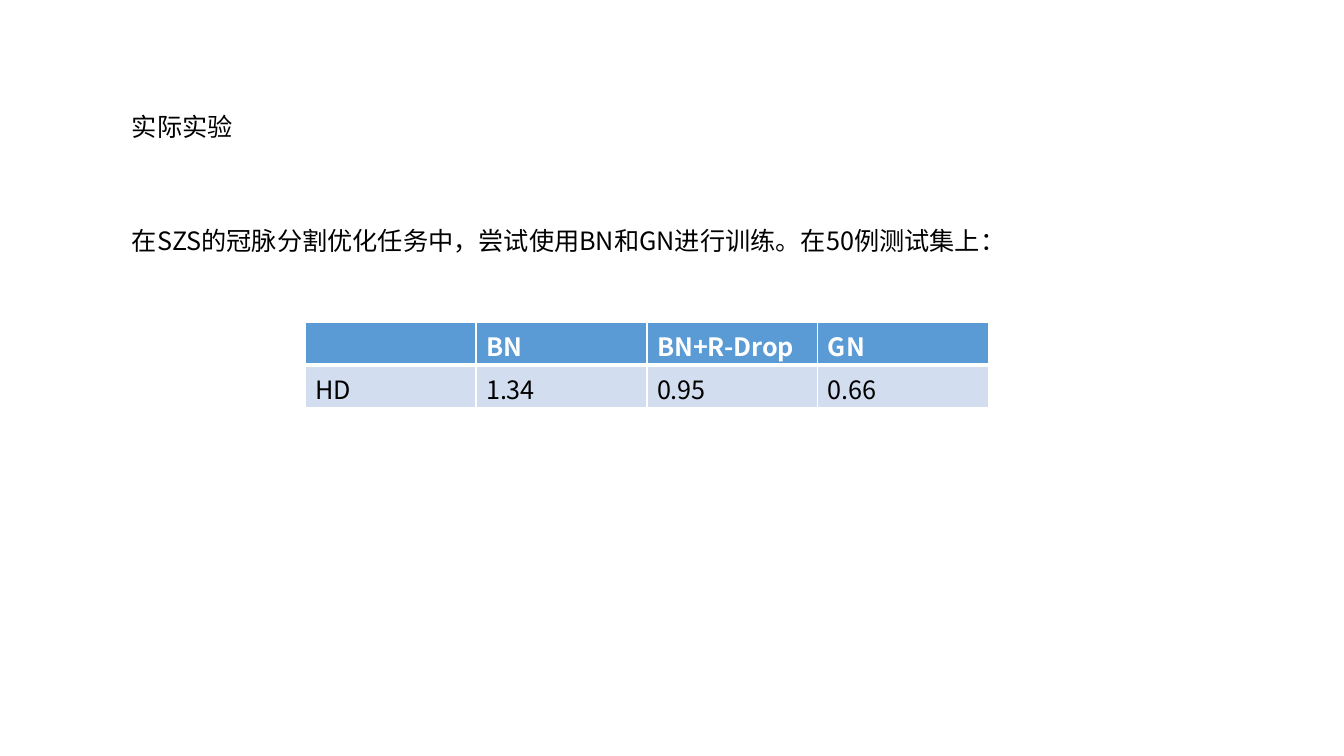
import pptx
import pptx.dml.color
import pptx.enum.text
import pptx.oxml.ns
import pptx.util
from lxml import etree

# Content
HEADING = "实际实验"
DESCRIPTION = "在SZS的冠脉分割优化任务中，尝试使用BN和GN进行训练。在50例测试集上："
RESULTS = [
    ["", "BN", "BN+R-Drop", "GN"],
    ["HD", "1.34", "0.95", "0.66"],
]

# Layout in px and style
PX = 914400 / 100.8
SLIDE_SIZE = (1344, 756)
HEADING_BOX = (122, 106, 397, 40)
DESCRIPTION_BOX = (122, 220, 1051, 40)
TABLE_LEFT, TABLE_TOP = 305, 322
COLUMN_WIDTH, ROW_HEIGHT = 171, 43
FONT = "Noto Sans CJK SC"
COLORS = {"text": "000000", "white": "FFFFFF", "header": "5B9BD5", "body": "D2DEEF"}


def px(value):
    return pptx.util.Emu(round(value * PX))


def rgb(name):
    return pptx.dml.color.RGBColor.from_string(COLORS[name])


def write_text(text_frame, text, size=18, color="text", bold=False):
    paragraph = text_frame.paragraphs[0]
    if not text:
        paragraph.font.size = pptx.util.Pt(size)
        return
    run = paragraph.add_run()
    run.text = text
    run.font.size = pptx.util.Pt(size)
    run.font.bold = bold
    run.font.color.rgb = rgb(color)
    run.font.name = FONT
    east_asian = etree.SubElement(run.font._element, pptx.oxml.ns.qn("a:ea"))
    east_asian.set("typeface", FONT)


def add_text_box(slide, box, text):
    shape = slide.shapes.add_textbox(*map(px, box))
    shape.text_frame.word_wrap = True
    shape.text_frame.auto_size = pptx.enum.text.MSO_AUTO_SIZE.SHAPE_TO_FIT_TEXT
    write_text(shape.text_frame, text)


def set_borders(cell, widths):
    properties = cell._tc.get_or_add_tcPr()
    for position, (side, width) in enumerate(widths.items()):
        line = etree.Element(pptx.oxml.ns.qn(f"a:ln{side}"), w=str(pptx.util.Pt(width)))
        fill = etree.SubElement(line, pptx.oxml.ns.qn("a:solidFill"))
        etree.SubElement(fill, pptx.oxml.ns.qn("a:srgbClr"), val=COLORS["white"])
        properties.insert(position, line)


def add_results_table(slide):
    rows, columns = len(RESULTS), len(RESULTS[0])
    box = (TABLE_LEFT, TABLE_TOP, COLUMN_WIDTH * columns, ROW_HEIGHT * rows)
    table = slide.shapes.add_table(rows, columns, *map(px, box)).table
    for column in table.columns:
        column.width = px(COLUMN_WIDTH)
    for row_index, values in enumerate(RESULTS):
        table.rows[row_index].height = px(ROW_HEIGHT)
        header = row_index == 0
        # A thick rule separates the header from the body
        widths = {"L": 1, "R": 1, "T": 1 if header else 3, "B": 3 if header else 1}
        for column_index, value in enumerate(values):
            cell = table.cell(row_index, column_index)
            cell.fill.solid()
            cell.fill.fore_color.rgb = rgb("header" if header else "body")
            set_borders(cell, widths)
            write_text(cell.text_frame, value, color="white" if header else "text", bold=header)


def main():
    presentation = pptx.Presentation()
    presentation.slide_width, presentation.slide_height = map(px, SLIDE_SIZE)
    slide = presentation.slides.add_slide(presentation.slide_layouts[6])
    add_text_box(slide, HEADING_BOX, HEADING)
    add_text_box(slide, DESCRIPTION_BOX, DESCRIPTION)
    add_results_table(slide)
    presentation.save("out.pptx")


if __name__ == "__main__":
    main()
